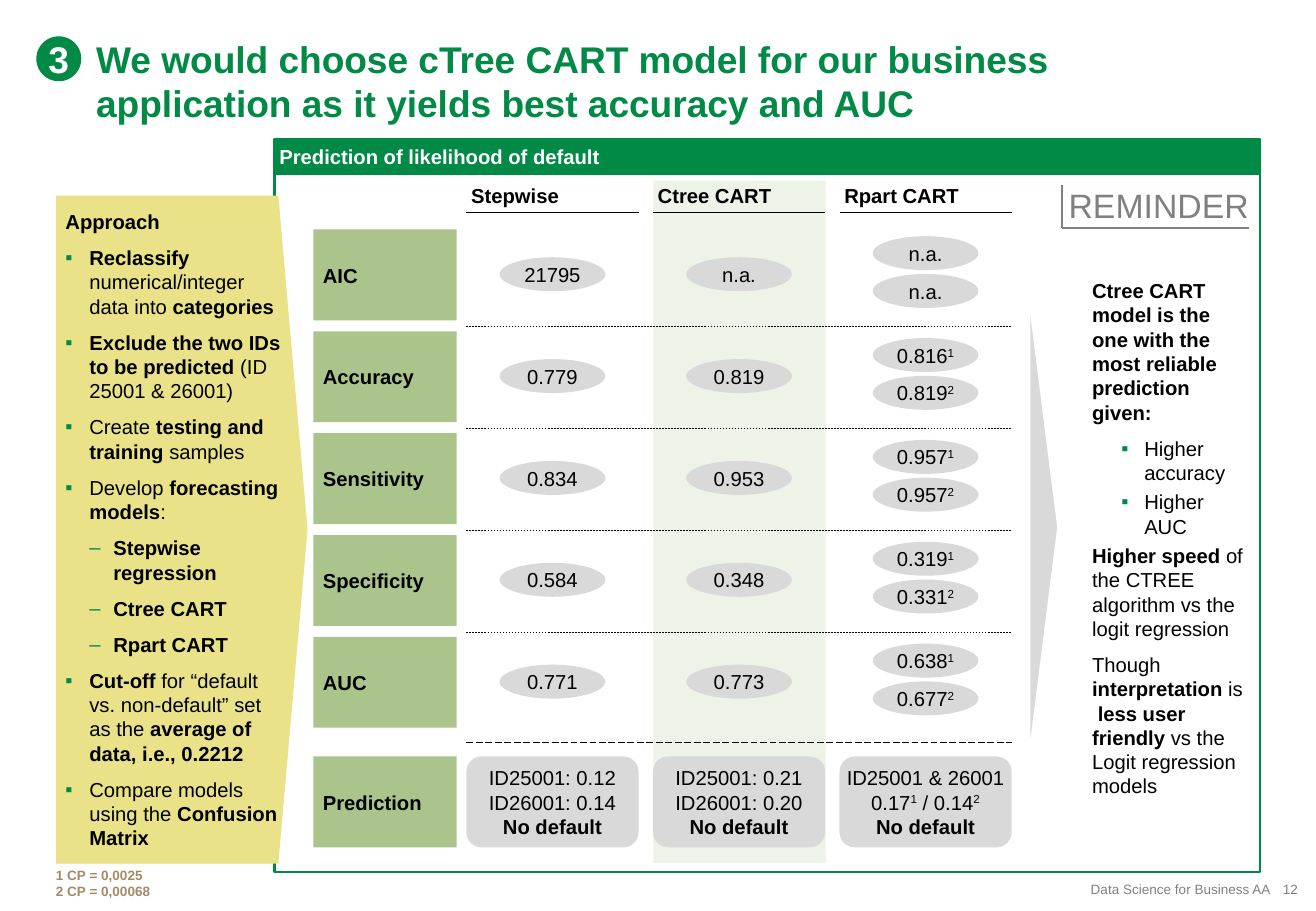
import pptx
import pptx.util
import pptx.dml.color
import pptx.enum.dml
import pptx.enum.shapes
import pptx.enum.text
import pptx.oxml.ns
import lxml.etree

Cm, Pt = pptx.util.Cm, pptx.util.Pt
SHAPE = pptx.enum.shapes.MSO_SHAPE
DASH = pptx.enum.dml.MSO_LINE
ALIGN = pptx.enum.text.PP_ALIGN
ANCHOR = pptx.enum.text.MSO_ANCHOR
qn = pptx.oxml.ns.qn

C = {"green": "008A46", "sage": "AAC48C", "pale": "EEF3E8", "yellow": "E9E288",
     "light": "D9D9D9", "grey": "808080", "tan": "A28A66", "black": "000000", "white": "FFFFFF"}

APPROACH = [
    ("▪", [("Reclassify", "b"), (" numerical/integer data into ", ""), ("categories", "b")]),
    ("▪", [("Exclude the two IDs to be predicted ", "b"), ("(ID 25001 & 26001)", "")]),
    ("▪", [("Create ", ""), ("testing and training ", "b"), ("samples", "")]),
    ("▪", [("Develop ", ""), ("forecasting models", "b"), (":", "")]),
    ("‒", [("Stepwise regression", "b")]),
    ("‒", [("Ctree CART", "b")]),
    ("‒", [("Rpart CART", "b")]),
    ("▪", [("Cut-off", "b"), (" for “default vs. non-default” set as the ", ""),
           ("average of data, i.e., 0.2212", "b")]),
    ("▪", [("Compare models using the ", ""), ("Confusion Matrix", "b")]),
]
CONCLUSION = [
    (None, [("Ctree CART model is the one with the most reliable prediction given:", "b")]),
    ("▪", [("Higher accuracy", "")]),
    ("▪", [("Higher AUC", "")]),
    (None, [("Higher speed ", "b"), ("of the CTREE algorithm vs the logit regression", "")]),
    (None, [("Though", ""), (" interpretation", "b"), (" is  ", ""),
            ("less user friendly ", "b"), ("vs the Logit regression models", "")]),
]
MODELS = ["Stepwise", "Ctree CART", "Rpart CART"]
METRICS = [
    ("AIC", "21795", "n.a.", ["n.a.", "n.a."]),
    ("Accuracy", "0.779", "0.819", ["0.816", "0.819"]),
    ("Sensitivity", "0.834", "0.953", ["0.957", "0.957"]),
    ("Specificity", "0.584", "0.348", ["0.319", "0.331"]),
    ("AUC", "0.771", "0.773", ["0.638", "0.677"]),
]
VERDICT = [("No default", "b")]
PREDICTIONS = [
    [[("ID25001: 0.12", "")], [("ID26001: 0.14", "")], VERDICT],
    [[("ID25001: 0.21", "")], [("ID26001: 0.20", "")], VERDICT],
    [[("ID25001 & 26001 0.17", ""), ("1", "s"), (" / 0.14", ""), ("2", "s")], VERDICT],
]


def rgb(name):
    """Return the named colour."""
    return pptx.dml.color.RGBColor.from_string(C[name])


def frame_text(tf, inset=(0, 0, 0, 0), anchor=ANCHOR.TOP, wrap=True):
    """Set the insets, anchor and wrapping of a text frame."""
    tf.margin_left, tf.margin_top, tf.margin_right, tf.margin_bottom = map(Cm, inset)
    tf.vertical_anchor, tf.word_wrap = anchor, wrap
    tf.auto_size = pptx.enum.text.MSO_AUTO_SIZE.NONE


def para(tf, runs, size=12, color="black", align=ALIGN.LEFT, before=0, after=0,
         bullet=None, left=0, hang=0):
    """Add one paragraph made of (text, style) runs."""
    p = tf.paragraphs[0]
    if p.runs:
        p = tf.add_paragraph()
    p.alignment, p.space_before, p.space_after = align, Pt(before), Pt(after)
    pPr = p._p.get_or_add_pPr()
    pPr.set("marL", str(Cm(left)))
    pPr.set("indent", str(-Cm(hang)))
    if bullet:
        clr = lxml.etree.SubElement(pPr, qn("a:buClr"))
        lxml.etree.SubElement(clr, qn("a:srgbClr"), val=C["green"])
        lxml.etree.SubElement(pPr, qn("a:buFont"), typeface="Arial")
        lxml.etree.SubElement(pPr, qn("a:buChar"), char=bullet)
    else:
        lxml.etree.SubElement(pPr, qn("a:buNone"))
    for text, style in runs:
        r = p.add_run()
        r.text = text
        r.font.name, r.font.size, r.font.bold = "Arial", Pt(size), style == "b"
        r.font.color.rgb = rgb(color)
        if style == "s":
            r._r.get_or_add_rPr().set("baseline", "30000")


def shape(s, kind, x, y, w, h, fill, line=None):
    """Add a flat preset shape."""
    sp = s.shapes.add_shape(kind, Cm(x), Cm(y), Cm(w), Cm(h))
    sp.shadow.inherit = False
    sp.fill.solid()
    sp.fill.fore_color.rgb = rgb(fill)
    if line:
        sp.line.color.rgb, sp.line.width = rgb(line), Pt(1.5)
    else:
        sp.line.fill.background()
    return sp


def textbox(s, x, y, w, h, **frame):
    """Add a text box and return its text frame."""
    tf = s.shapes.add_textbox(Cm(x), Cm(y), Cm(w), Cm(h)).text_frame
    frame_text(tf, **frame)
    return tf


def line(s, x1, y1, x2, y2, width, color="black", dash=None):
    """Add a straight line."""
    cn = s.shapes.add_connector(pptx.enum.shapes.MSO_CONNECTOR.STRAIGHT,
                                Cm(x1), Cm(y1), Cm(x2), Cm(y2))
    cn.line.color.rgb, cn.line.width, cn.line.dash_style = rgb(color), Pt(width), dash
    lxml.etree.SubElement(cn._element.spPr, qn("a:effectLst"))


def heading(s, x, y, w, h):
    """Place the slide title and its number badge."""
    sp = s.shapes.title
    sp.left, sp.top, sp.width, sp.height = Cm(x), Cm(y), Cm(w), Cm(h)
    frame_text(sp.text_frame)
    para(sp.text_frame, [("We would choose cTree CART model for our business application "
                          "as it yields best accuracy and AUC", "b")], 22, "green", left=1.25)
    badge = shape(s, SHAPE.OVAL, x, y, 0.94, 0.94, "green")
    frame_text(badge.text_frame, anchor=ANCHOR.MIDDLE, wrap=False)
    para(badge.text_frame, [("3", "b")], 22, "white", ALIGN.CENTER)


def panel(s, x, y, w, h):
    """Draw the framed panel with its header and highlighted column."""
    shape(s, SHAPE.RECTANGLE, x, y, w, h, "white", "green")
    shape(s, SHAPE.RECTANGLE, x + 7.92, y + 0.86, 3.6, h - 1.05, "pale")
    bar = shape(s, SHAPE.RECTANGLE, x, y, w, 0.71, "green", "green")
    frame_text(bar.text_frame, (0.1,) * 4, ANCHOR.MIDDLE)
    para(bar.text_frame, [("Prediction of likelihood of default", "b")], color="white")


def approach(s, x, y, w, h):
    """Draw the approach list in its pointed block."""
    sp = shape(s, SHAPE.PENTAGON, x, y, w, h, "yellow")
    sp.adjustments[0] = 0.116
    frame_text(sp.text_frame, (0.2, 0.1, 0.2, 0.1), ANCHOR.MIDDLE)
    para(sp.text_frame, [("Approach", "b")], before=3, after=4)
    for bullet, runs in APPROACH:
        para(sp.text_frame, runs, before=3, after=4, bullet=bullet,
             left=0.5 if bullet == "▪" else 1, hang=0.5)


def cell(s, kind, x, y, w, h, paragraphs):
    """Draw a grey value marker with centred text."""
    sp = shape(s, kind, x, y, w, h, "light")
    frame_text(sp.text_frame, anchor=ANCHOR.MIDDLE)
    for runs in paragraphs:
        para(sp.text_frame, runs, align=ALIGN.CENTER)


def comparison(s, x, y, w, h):
    """Draw the grid of metrics and predictions by model."""
    col_w, row_h, row_gap, oval_w, oval_h = 3.6, 1.9, 2.13, 2.21, 0.71
    cols = [x + 3.2 + 3.9 * i for i in range(len(MODELS))]
    rows = [y + 1.06 + row_gap * i for i in range(len(METRICS))] + [y + h - row_h]
    for cx, model, prediction in zip(cols, MODELS, PREDICTIONS):
        para(textbox(s, cx, y, col_w, 0.71, inset=(0.1,) * 4), [(model, "b")])
        line(s, cx, y + 0.71, cx + col_w, y + 0.71, 0.75)
        cell(s, SHAPE.ROUNDED_RECTANGLE, cx, rows[-1], col_w, row_h, prediction)
    for ry, label in zip(rows, [m[0] for m in METRICS] + ["Prediction"]):
        sp = shape(s, SHAPE.RECTANGLE, x, ry, 3, row_h, "sage")
        frame_text(sp.text_frame, (0.2,) * 4, ANCHOR.MIDDLE)
        para(sp.text_frame, [(label, "b")])
    for ry in rows[:-2]:
        line(s, cols[0], ry + 2.02, x + w, ry + 2.02, 0.25, dash=DASH.DASH)
    line(s, cols[0], rows[-1] - 0.3, x + w, rows[-1] - 0.3, 0.5, dash=DASH.LONG_DASH)
    inset = (col_w - oval_w) / 2
    for ry, (label, stepwise, ctree, rpart) in zip(rows, METRICS):
        for cx, value in zip(cols, (stepwise, ctree)):
            cell(s, SHAPE.OVAL, cx + inset, ry + 0.58, oval_w, oval_h, [[(value, "")]])
        for i, value in enumerate(rpart):
            note = [] if value == "n.a." else [(str(i + 1), "s")]
            cell(s, SHAPE.OVAL, cols[2] + inset, ry + 0.14 + 0.79 * i, oval_w, oval_h,
                 [[(value, "")] + note])


def conclusion(s, x, y, w, h):
    """Place the reminder sticker, the arrow and the concluding list."""
    tf = textbox(s, x + 0.66, y, 3.91, 0.91, inset=(0.1, 0, 0, 0.08), wrap=False)
    para(tf, [("REMINDER", "")], 20, "grey", ALIGN.RIGHT)
    line(s, x + 0.66, y + 0.91, x + 4.57, y + 0.91, 1.5, "grey")
    line(s, x + 0.66, y, x + 0.66, y + 0.91, 0.75, "grey")
    arrow = shape(s, SHAPE.PENTAGON, x, y + 2.74, 0.56, 8.86, "light")
    arrow.adjustments[0] = 1
    sp = s.placeholders[1]
    sp.left, sp.top, sp.width, sp.height = Cm(x + 1.04), Cm(y + 1.83), Cm(w - 1.04), Cm(h - 1.83)
    s.shapes.element.append(sp.element)
    frame_text(sp.text_frame, (0.25, 0.13, 0.25, 0.13))
    for bullet, runs in CONCLUSION:
        para(sp.text_frame, runs, before=3, after=0 if bullet else 4, bullet=bullet,
             left=1.09 if bullet else 0, hang=0.48 if bullet else 0)


def footer(s, x, y, w, h):
    """Place the footnotes, the course name and the page number."""
    tf = textbox(s, x, y, w, h, anchor=ANCHOR.BOTTOM)
    for note in ("1 CP = 0,0025", "2 CP = 0,00068"):
        para(tf, [(note, "b")], 8, "tan")
    tf = textbox(s, x + 21.56, y + 0.33, 3.84, 0.33, anchor=ANCHOR.BOTTOM, wrap=False)
    para(tf, [("Data Science for Business AA", "")], 8, "grey", ALIGN.RIGHT)
    tf = textbox(s, x + 25.65, y + 0.43, 0.36, 0.23, anchor=ANCHOR.BOTTOM, wrap=False)
    para(tf, [("12", "")], 8, "grey")


def main():
    """Build the slide and save it."""
    prs = pptx.Presentation()
    prs.slide_width, prs.slide_height = Cm(27.51), Cm(19.05)
    s = prs.slides.add_slide(prs.slide_layouts[1])
    heading(s, 0.76, 0.76, 22, 1.88)
    panel(s, 5.74, 2.92, 20.6, 15.32)
    approach(s, 1.17, 4.09, 5.26, 13.97)
    comparison(s, 6.55, 3.74, 14.6, 13.98)
    conclusion(s, 21.54, 3.86, 4.77, 13.03)
    footer(s, 1.17, 18.11, 26.34, 0.69)
    prs.save("out.pptx")


if __name__ == "__main__":
    main()
